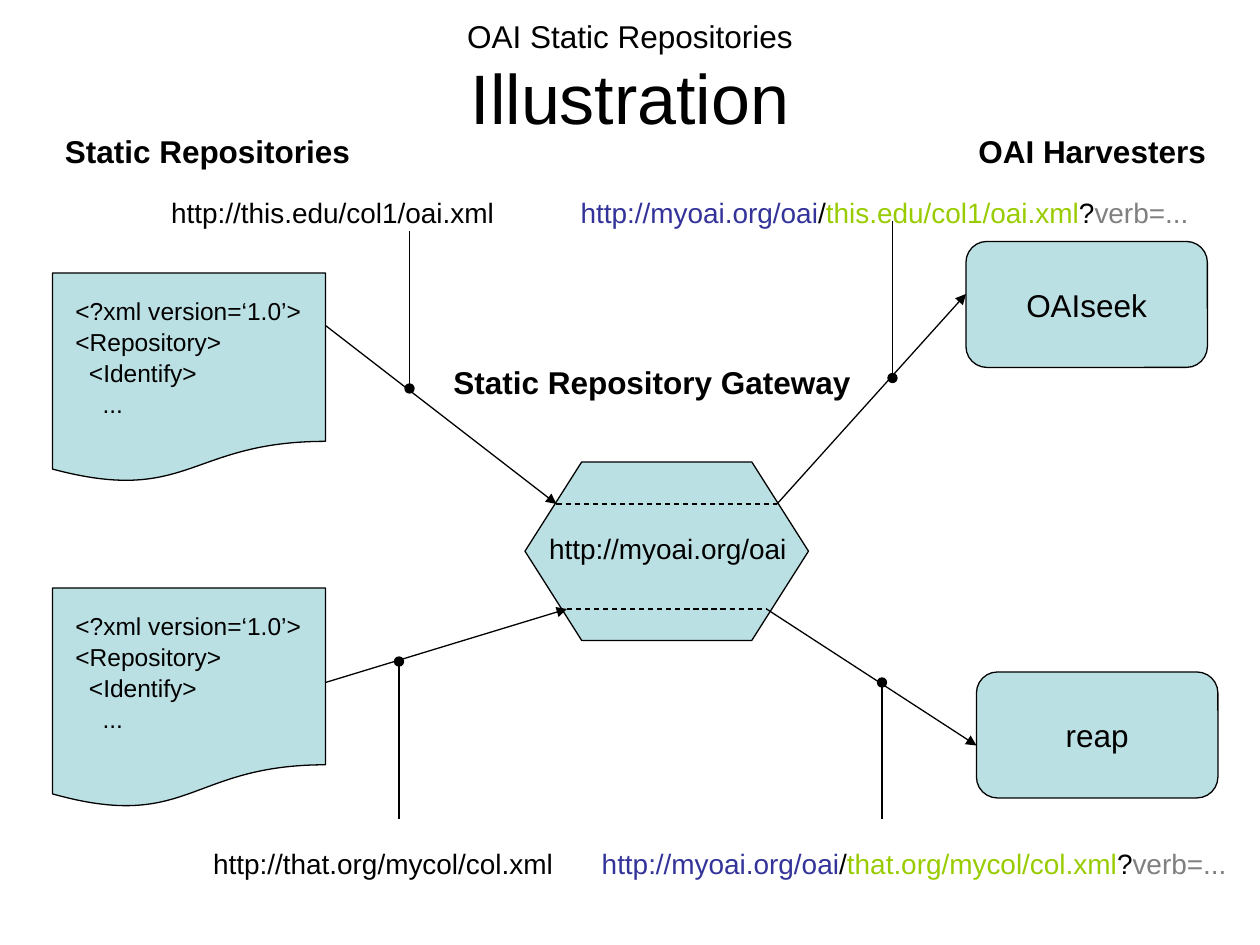
from dataclasses import dataclass

from lxml import etree
from pptx import Presentation
from pptx import util as u
from pptx.dml.color import RGBColor
from pptx.enum import dml, shapes, text
from pptx.oxml.ns import qn

SHAPE = shapes.MSO_SHAPE
EMU_PER_PX = 9525


@dataclass(frozen=True)
class Theme:
    font: str = "Arial"
    ink: str = "000000"
    fill: str = "BBE0E3"
    gateway: str = "333399"
    source: str = "99CC00"
    query: str = "808080"
    title: int = 40
    heading: int = 18
    url: int = 16
    code: int = 14
    line: float = 0.75


T = Theme()
GATEWAY_URL = "http://myoai.org/oai"
XML = "<?xml version=‘1.0’>\n<Repository>\n  <Identify>\n    ..."


def px(*values):
    return [u.Emu(v * EMU_PER_PX) for v in values]


def write(sp, parts, size=T.heading, bold=False, align=text.PP_ALIGN.LEFT,
          anchor=text.MSO_ANCHOR.TOP, wrap=False, spacing=None):
    """Fill one paragraph; parts is a string or a list of (string, format) pairs."""
    tf = sp.text_frame
    tf.word_wrap = wrap
    tf.auto_size = text.MSO_AUTO_SIZE.NONE
    tf.vertical_anchor = anchor
    p = tf.paragraphs[0]
    p.alignment = align
    p.line_spacing = spacing
    for content, fmt in [(parts, {})] if isinstance(parts, str) else parts:
        for i, line in enumerate(content.split("\n")):
            if i:
                p.add_line_break()
            if line:
                r = p.add_run()
                r.text = line
                r.font.name = T.font
                r.font.size = u.Pt(fmt.get("size", size))
                r.font.bold = bold
                r.font.color.rgb = RGBColor.from_string(fmt.get("color", T.ink))


def add_text(parent, box, parts, **fmt):
    write(parent.shapes.add_textbox(*px(*box)), parts, **fmt)


def add_block(parent, kind, box):
    sp = parent.shapes.add_shape(kind, *px(*box))
    sp.shadow.inherit = False
    sp.fill.solid()
    sp.fill.fore_color.rgb = RGBColor.from_string(T.fill)
    sp.line.color.rgb = RGBColor.from_string(T.ink)
    sp.line.width = u.Pt(T.line)
    return sp


def add_line(s, start, end, head=None, tail=None, dash=False):
    c = s.shapes.add_connector(shapes.MSO_CONNECTOR.STRAIGHT, *px(*start, *end))
    c.line.color.rgb = RGBColor.from_string(T.ink)
    c.line.width = u.Pt(T.line)
    if dash:
        c.line.dash_style = dml.MSO_LINE.DASH
    ln = c.line._get_or_add_ln()
    for tag, kind in (("a:headEnd", head), ("a:tailEnd", tail)):
        if kind:
            etree.SubElement(ln, qn(tag), type=kind)
    etree.SubElement(c._element.spPr, qn("a:effectLst"))


def add_title(s, box):
    sp = s.shapes.title
    sp.left, sp.top, sp.width, sp.height = px(*box)
    write(sp, [("OAI Static Repositories\n", {"size": T.heading}),
               ("Illustration", {"size": T.title})],
          align=text.PP_ALIGN.CENTER, anchor=text.MSO_ANCHOR.MIDDLE, wrap=True)


def add_gateway(s, box):
    """Draw the gateway and return its left and right ports, top row first."""
    x, y, w, h = box
    add_text(s, (x - 64, y - 80, 322, 39), "Static Repository Gateway", bold=True)
    add_block(s, SHAPE.FLOWCHART_PREPARATION, box)
    rows = [((x + 24, y + 32), (x + w - 24, y + 32)),
            ((x + 32, y + h - 24), (x + w - 32, y + h - 24))]
    for left, right in rows:
        add_line(s, left, right, dash=True)
    add_text(s, (x + 9, y + 48, 200, 36), GATEWAY_URL, size=T.url)
    return rows


def add_repository(s, box, exit_y, port):
    x, y, w, h = box
    gr = s.shapes.add_group_shape()
    add_block(gr, SHAPE.FLOWCHART_DOCUMENT, box)
    add_text(gr, (x + 8, y + 12, w - 16, 100), XML, size=T.code, wrap=True,
             spacing=1.05)
    add_line(s, (x + w, y + exit_y), port, tail="triangle")


def add_harvester(s, box, name, entry_y, port):
    x, y, w, h = box
    write(add_block(s, SHAPE.FLOWCHART_ALTERNATE_PROCESS, box), name,
          align=text.PP_ALIGN.CENTER, anchor=text.MSO_ANCHOR.MIDDLE)
    add_line(s, port, (x, y + entry_y), tail="triangle")


def add_url_callout(s, box, url, dot, end_y):
    """Place an address and the dotted line that ties it to an arrow."""
    add_text(s, box, url, size=T.url)
    add_line(s, dot, (dot[0], end_y), head="oval")


def harvest_url(source):
    return [(GATEWAY_URL, {"color": T.gateway}), ("/", {}),
            (source, {"color": T.source}), ("?", {}),
            ("verb=...", {"color": T.query})]


def main():
    prs = Presentation()
    prs.slide_width, prs.slide_height = px(960, 720)
    s = prs.slides.add_slide(prs.slide_layouts[5])
    add_title(s, (48, 29, 864, 60))
    add_text(s, (40, 96, 236, 39), "Static Repositories", bold=True)
    add_text(s, (736, 96, 192, 39), "OAI Harvesters", bold=True)

    (top_in, top_out), (low_in, low_out) = add_gateway(s, (400, 352, 216, 136))
    add_repository(s, (40, 208, 208, 160), 40, top_in)
    add_repository(s, (40, 448, 208, 168), 72, low_in)
    add_harvester(s, (736, 184, 184, 96), "OAIseek", 40, top_out)
    add_harvester(s, (744, 512, 184, 96), "reap", 56, low_out)

    top, low = "this.edu/col1/oai.xml", "that.org/mycol/col.xml"
    add_url_callout(s, (121, 144, 265, 36), "http://" + top, (312, 296), 176)
    add_url_callout(s, (153, 640, 278, 36), "http://" + low, (304, 504), 624)
    add_url_callout(s, (433, 144, 482, 36), harvest_url(top), (680, 288), 168)
    add_url_callout(s, (449, 640, 495, 36), harvest_url(low), (672, 520), 624)
    prs.save("out.pptx")


if __name__ == "__main__":
    main()
